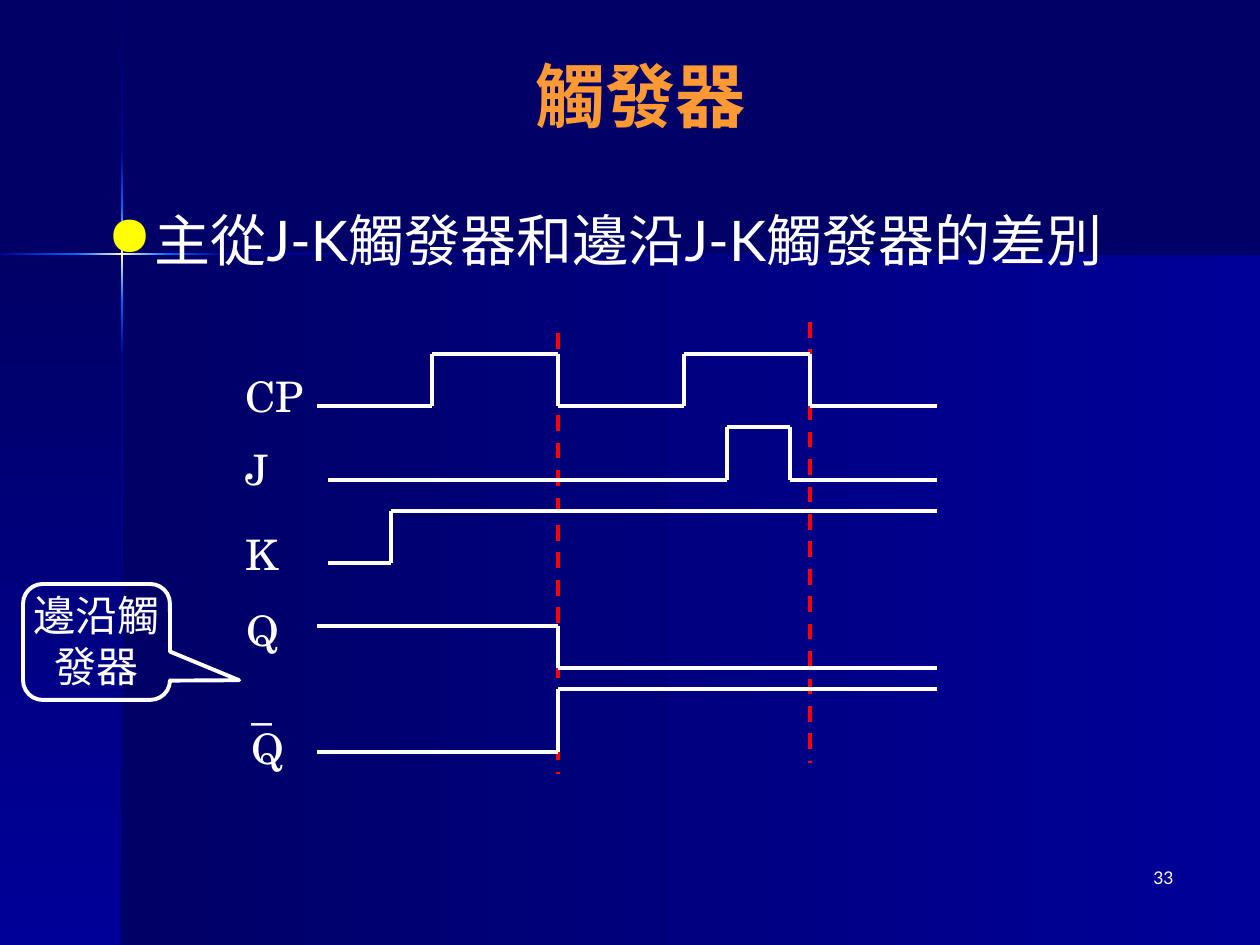
"""Build the slide on master-slave and edge-triggered J-K flip-flops."""
from copy import deepcopy
from itertools import pairwise

from lxml import etree
from pptx import Presentation
from pptx.dml.color import RGBColor
from pptx.enum.dml import MSO_LINE
from pptx.enum.shapes import MSO_CONNECTOR, MSO_SHAPE
from pptx.enum.text import MSO_ANCHOR, PP_ALIGN
from pptx.oxml.ns import qn
from pptx.util import Pt

RECT = MSO_SHAPE.RECTANGLE
CALL = MSO_SHAPE.ROUNDED_RECTANGULAR_CALLOUT
LINE = MSO_CONNECTOR.STRAIGHT
DASH = MSO_LINE.DASH
MID = MSO_ANCHOR.MIDDLE
LEFT, MIDDLE, RIGHT = PP_ALIGN.LEFT, PP_ALIGN.CENTER, PP_ALIGN.RIGHT

SANS, SERIF = "Lato", "TeX Gyre Schola"
WHITE, RED, ORANGE, YELLOW = "FFFFFF", "FF0000", "FF9933", "FFFF00"
NAVY, BLUE, SKY, CREAM = "000066", "000099", "0066FF", "FFFFCC"
rgb = RGBColor.from_string


def px(*vals):
    return [round(v * 914400 / 126) for v in vals]


def style(par, size, face, color=WHITE, align=LEFT):
    par.alignment = align
    par.font.size = Pt(size)
    par.font.name = face
    par.font.color.rgb = rgb(color)


prs = Presentation()
prs.slide_width, prs.slide_height = px(1260, 945)
slide = prs.slides.add_slide(prs.slide_layouts[5])
shapes = slide.shapes
slide.background.fill.solid()
slide.background.fill.fore_color.rgb = rgb(NAVY)

panels = [
    (122, 255, 1138, 690, 0, [NAVY, BLUE]),
    (0, 255, 122, 690, 270, [NAVY, BLUE]),
    (121, 1, 2, 151, 270, [NAVY, BLUE]),
    (121, 355, 2, 590, 270, [BLUE, NAVY]),
    (223, 253, 1037, 2, 0, [BLUE, NAVY]),
    (121, 300, 2, 55, 270, [SKY, BLUE]),
    (121, 152, 2, 56, 270, [BLUE, SKY]),
    (121, 208, 2, 92, 270, [SKY, CREAM, SKY]),
    (0, 253, 76, 2, 0, [BLUE, SKY]),
    (168, 253, 55, 2, 0, [SKY, BLUE]),
    (76, 253, 92, 2, 0, [SKY, CREAM, SKY]),
]
for x, y, w, h, turn, tints in panels:
    panel = shapes.add_shape(RECT, *px(x, y, w, h))
    panel.shadow.inherit = False
    panel.line.fill.background()
    fill = panel.fill
    fill.gradient()
    fill.gradient_angle = turn
    stops = panel._element.spPr.find(".//" + qn("a:gsLst"))
    if len(tints) == 3:
        stops.insert(1, deepcopy(stops[0]))
    for i, (stop, tint) in enumerate(zip(fill.gradient_stops, tints)):
        stop.color.rgb = rgb(tint)
        stop.position = i / (len(tints) - 1)

title = shapes.title
title.left, title.top, title.width, title.height = px(63, 42, 1155, 105)
frame = title.text_frame
frame.vertical_anchor = MID
frame.text = "觸發器"
style(frame.paragraphs[0], 40, SANS, ORANGE, MIDDLE)
frame.paragraphs[0].font.bold = True

body = shapes.add_textbox(*px(95, 199, 1092, 640)).text_frame
body.word_wrap = True
body.text = "主從J-K觸發器和邊沿J-K觸發器的差別"
point = body.paragraphs[0]
props = point._p.get_or_add_pPr()
indent, = px(47)
props.set("marL", str(indent))
props.set("indent", str(-indent))
tint = etree.SubElement(props, qn("a:buClr"))
etree.SubElement(tint, qn("a:srgbClr"), val=YELLOW)
etree.SubElement(props, qn("a:buChar"), char="●")
style(point, 32, SANS)

START, FALL, DROP, END = 317, 558, 810, 937
waves = [
    (RED, [(FALL, 333), (FALL, 774)]),
    (RED, [(DROP, 322), (DROP, 763)]),
    (WHITE, [(START, 406), (432, 406), (432, 354), (FALL, 354),
             (FALL, 406), (684, 406), (684, 354), (DROP, 354),
             (DROP, 406), (END, 406)]),
    (WHITE, [(328, 480), (727, 480), (727, 427), (790, 427),
             (790, 480), (END, 480)]),
    (WHITE, [(328, 563), (391, 563), (391, 511), (END, 511)]),
    (WHITE, [(START, 626), (FALL, 626), (FALL, 668),
             (DROP, 668), (END, 668)]),
    (WHITE, [(START, 752), (FALL, 752), (FALL, 689),
             (DROP, 689), (END, 689)]),
]
for color, dots in waves:
    for a, b in pairwise(dots):
        edge = shapes.add_connector(LINE, *px(*a, *b))
        edge.line.color.rgb = rgb(color)
        edge.line.width = Pt(2.25)
        if color == RED:
            edge.line.dash_style = DASH
        etree.SubElement(edge._element.spPr, qn("a:effectLst"))

labels = [
    ("CP", 233, 364, 94, 63, None),
    ("J", 233, 437, 47, 63, None),
    ("K", 233, 522, 54, 63, None),
    ("Q", 234, 605, 57, 57, Pt(25)),
    ("_\nQ", 239, 679, 57, 101, Pt(25)),
]
for text, x, y, w, h, space in labels:
    frame = shapes.add_textbox(*px(x, y, w, h)).text_frame
    frame.word_wrap = False
    frame.text = text
    for par in frame.paragraphs:
        par.line_spacing = space
        style(par, 24, SERIF)

note = shapes.add_shape(CALL, *px(23, 584, 147, 116))
note.shadow.inherit = False
note.fill.background()
note.line.color.rgb = rgb(WHITE)
note.line.width = Pt(2.25)
for i, val in enumerate((0.97, 0.33, 0.17)):
    note.adjustments[i] = val
frame = note.text_frame
frame.margin_left = frame.margin_right = 0
frame.margin_top = frame.margin_bottom = 0
frame.vertical_anchor = MSO_ANCHOR.TOP
frame.word_wrap = True
frame.text = "邊沿觸發器"
style(frame.paragraphs[0], 24, SERIF, align=MIDDLE)

page = shapes.add_textbox(*px(924, 861, 262, 63)).text_frame
page.word_wrap = True
page.text = "33"
style(page.paragraphs[0], 10, SANS, align=RIGHT)

prs.save("out.pptx")
